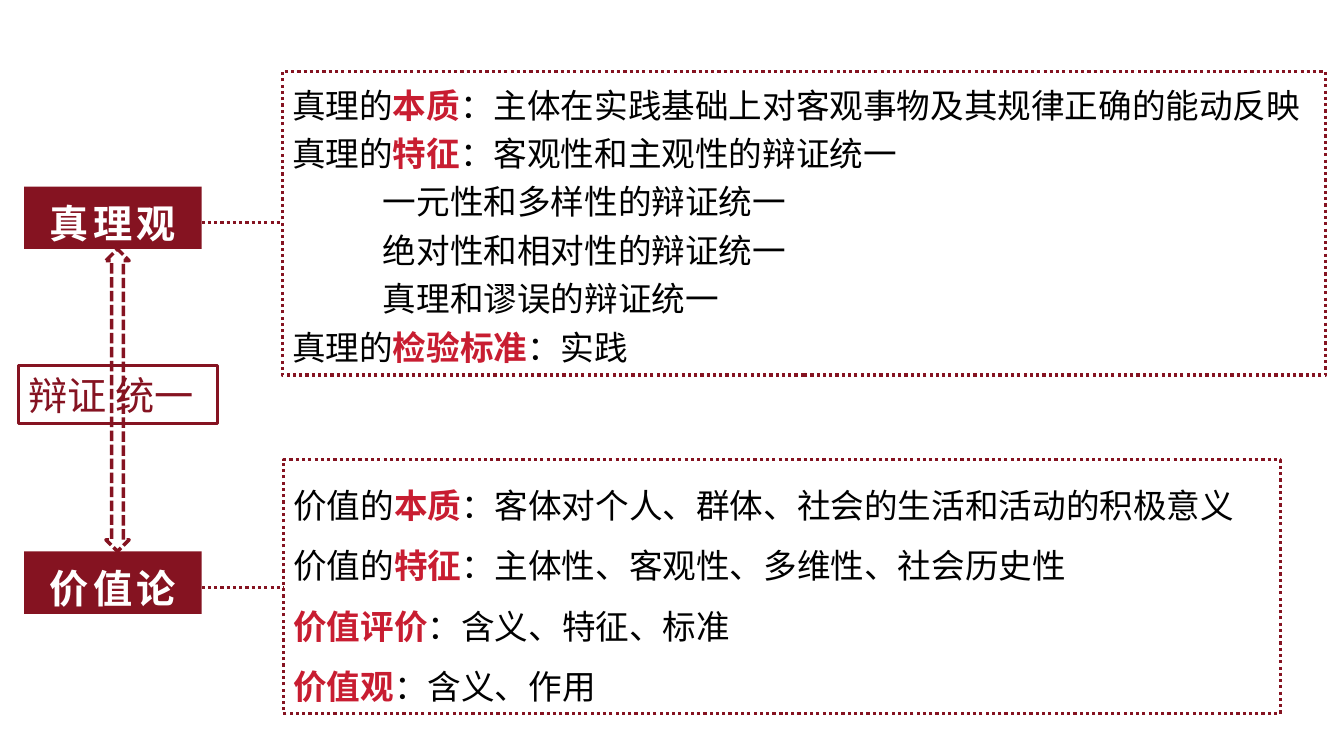
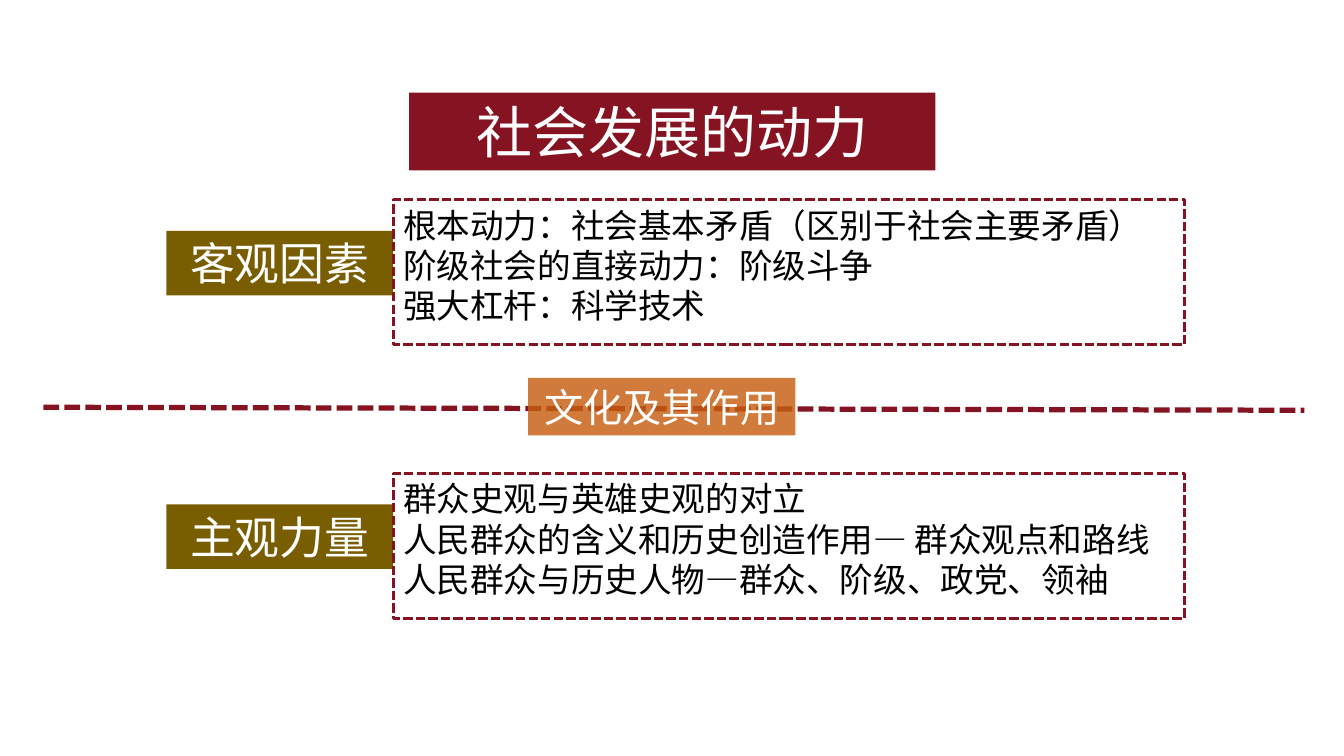
"""Build two review slides on truth, value and the drivers of society."""
from dataclasses import dataclass
from typing import Optional

from lxml.etree import SubElement
from pptx import Presentation
from pptx.dml.color import RGBColor
from pptx.enum.dml import MSO_LINE as Dash
from pptx.enum.shapes import MSO_CONNECTOR as Link, MSO_SHAPE as Form
from pptx.enum.text import MSO_ANCHOR as Anchor, PP_ALIGN as Align
from pptx.oxml.ns import qn
from pptx.util import Inches, Pt

FONT = "Noto Sans CJK SC"
WIDE, HIGH = Inches(13.333), Inches(7.5)
WINE, RED, OLIVE, RUST = "851321", "C81D31", "795D01", "C65F10"
BLACK, WHITE = "000000", "FFFFFF"
DOT, DASH = Dash.ROUND_DOT, Dash.SQUARE_DOT
INDENT = Inches(0.9)


@dataclass(frozen=True)
class Box:
    """A place in percent of the slide's width and height."""
    x: float
    y: float
    w: float
    h: float


@dataclass(frozen=True)
class Look:
    """The fill, outline and type of a shape."""
    fill: Optional[str] = None
    alpha: int = 100
    line: Optional[str] = None
    width: float = 2.25
    dash: Optional[Dash] = None
    size: int = 24
    ink: str = BLACK
    bold: bool = False
    track: int = 0
    space: float = 1.0
    align: Align = Align.LEFT
    anchor: Anchor = Anchor.TOP


TRUTH = Look(line=WINE, dash=DOT, space=1.2)
VALUE = Look(line=WINE, dash=DOT, space=1.5)
PANEL = Look(line=WINE, dash=DASH)
ARROW = Look(line=WINE, dash=DASH, width=2.5)
UNITY = Look(line=WINE, size=28, ink=WINE)
TAG = Look(WINE, size=28, ink=WHITE, bold=True, track=300, space=1.2,
           align=Align.CENTER, anchor=Anchor.MIDDLE)
TITLE = Look(WINE, size=40, ink=WHITE, align=Align.CENTER)
FACTOR = Look(OLIVE, size=32, ink=WHITE, align=Align.CENTER)
CULTURE = Look(RUST, 82, size=28, ink=WHITE, align=Align.CENTER)

SIDES = (
    ("真理观", TRUTH, Box(21, 9.47, 77.63, 40.13), (
        "真理的*本质*：主体在实践基础上对客观事物及其规律正确的能动反映",
        "真理的*特征*：客观性和主观性的辩证统一",
        ">一元性和多样性的辩证统一",
        ">绝对性和相对性的辩证统一",
        ">真理和谬误的辩证统一",
        "真理的*检验标准*：实践")),
    ("价值论", VALUE, Box(21.08, 60.8, 74.18, 33.6), (
        "价值的*本质*：客体对个人、群体、社会的生活和活动的积极意义",
        "价值的*特征*：主体性、客观性、多维性、社会历史性",
        "*价值评价*：含义、特征、标准",
        "*价值观*：含义、作用")),
)
FORCES = (
    ("客观因素", (
        "根本动力：社会基本矛盾（区别于社会主要矛盾）",
        "阶级社会的直接动力：阶级斗争",
        "强大杠杆：科学技术")),
    ("主观力量", (
        "群众史观与英雄史观的对立",
        "人民群众的含义和历史创造作用— 群众观点和路线",
        "人民群众与历史人物—群众、阶级、政党、领袖")),
)


def tint(code: str) -> RGBColor:
    """Turn a hex string into a colour."""
    return RGBColor.from_string(code)


def px(part: float) -> int:
    """Give a share of the slide's width."""
    return round(WIDE * part / 100)


def py(part: float) -> int:
    """Give a share of the slide's height."""
    return round(HIGH * part / 100)


def stroke(line, look: Look) -> None:
    """Style an outline or a connector."""
    if look.line is None:
        line.fill.background()
        return
    line.color.rgb = tint(look.line)
    line.width = Pt(look.width)
    if look.dash is not None:
        line.dash_style = look.dash


def write(para, text: str, look: Look) -> None:
    """Write one line, with starred words in bold red."""
    para.alignment, para.line_spacing = look.align, look.space
    if text.startswith(">"):
        para._p.get_or_add_pPr().set("marL", str(INDENT))
    for i, word in enumerate(text.lstrip(">").split("*")):
        if not word:
            continue
        run, key = para.add_run(), i % 2 == 1
        run.text = word
        run.font.color.rgb = tint(RED if key else look.ink)
        form = {"size": Pt(look.size), "name": FONT, "bold": key or look.bold}
        for name, val in form.items():
            setattr(run.font, name, val)
        props = run._r.get_or_add_rPr()
        SubElement(props, qn("a:ea")).set("typeface", FONT)
        if look.track:
            props.set("spc", str(look.track))


def draw(slide, box: Box, look: Look, *lines: str,
         form: Form = Form.RECTANGLE) -> None:
    """Draw a shape with its lines of text."""
    shape = slide.shapes.add_shape(form, px(box.x), py(box.y),
                                   px(box.w), py(box.h))
    shape.shadow.inherit = False
    if look.fill:
        shape.fill.solid()
        shape.fill.fore_color.rgb = tint(look.fill)
        if look.alpha < 100:
            hue = shape._element.spPr.find(".//" + qn("a:srgbClr"))
            SubElement(hue, qn("a:alpha")).set("val", str(look.alpha * 1000))
    else:
        shape.fill.background()
    stroke(shape.line, look)
    frame = shape.text_frame
    frame.word_wrap, frame.vertical_anchor = True, look.anchor
    for i, text in enumerate(lines):
        para = frame.add_paragraph() if i else frame.paragraphs[0]
        write(para, text, look)


def join(slide, x: float, y: float, x2: float, y2: float, look: Look) -> None:
    """Draw a straight line between two points."""
    link = slide.shapes.add_connector(Link.STRAIGHT, px(x), py(y),
                                      px(x2), py(y2))
    stroke(link.line, look)
    SubElement(link._element.spPr, qn("a:effectLst"))


def views(slide) -> None:
    """Set the view of truth against the theory of value."""
    top, step, high = 24.67, 48.27, 8.27
    draw(slide, Box(7.88, top + high, 1.73, step - high), ARROW,
         form=Form.UP_DOWN_ARROW)
    for i, (name, look, box, lines) in enumerate(SIDES):
        tag = Box(1.8, top + i * step, 13.2, high)
        mid = tag.y + 4.73
        draw(slide, box, look, *lines)
        draw(slide, tag, TAG, name)
        join(slide, tag.x + tag.w, mid, box.x, mid, look)
    draw(slide, Box(1.35, 48.4, 14.85, 7.6), UNITY, "辩证 统一")


def drives(slide) -> None:
    """Show what drives society, with culture in between."""
    draw(slide, Box(30.45, 12.27, 39.15, 10.27), TITLE, "社会发展的动力")
    for i, (name, lines) in enumerate(FORCES):
        y = 26.4 + i * 36.2
        draw(slide, Box(12.38, y + 4.13, 16.87, 8.53), FACTOR, name)
        draw(slide, Box(29.25, y, 58.88, 19.2), PANEL, *lines)
    join(slide, 3.23, 53.87, 97.05, 54.27,
         Look(line=WINE, width=3.75, dash=DASH))
    draw(slide, Box(39.3, 50, 19.88, 7.6), CULTURE, "文化及其作用")


def main() -> None:
    """Build and save the slides."""
    deck = Presentation()
    deck.slide_width, deck.slide_height = WIDE, HIGH
    for fill in (views, drives):
        fill(deck.slides.add_slide(deck.slide_layouts[6]))
    deck.save("out.pptx")


if __name__ == "__main__":
    main()
